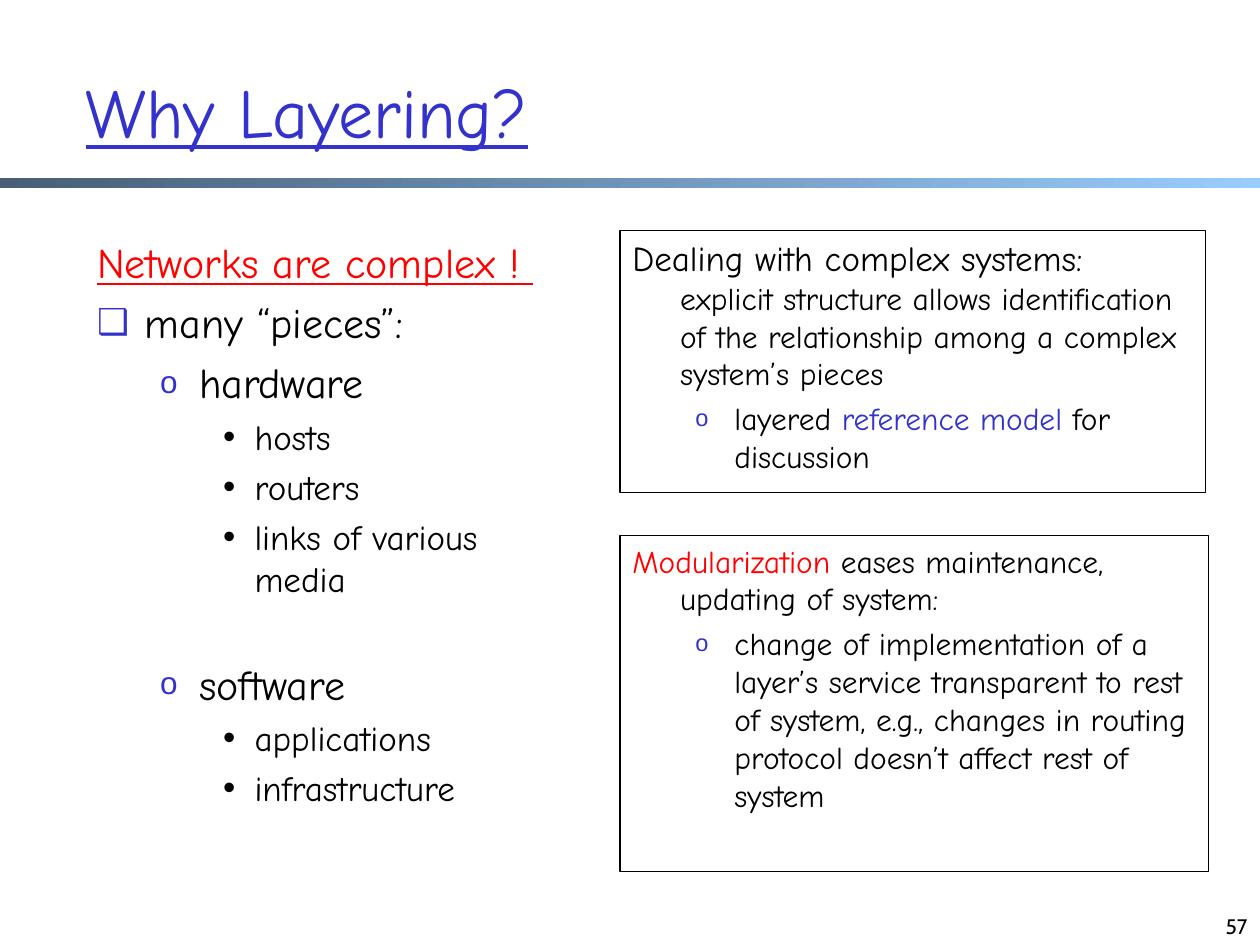
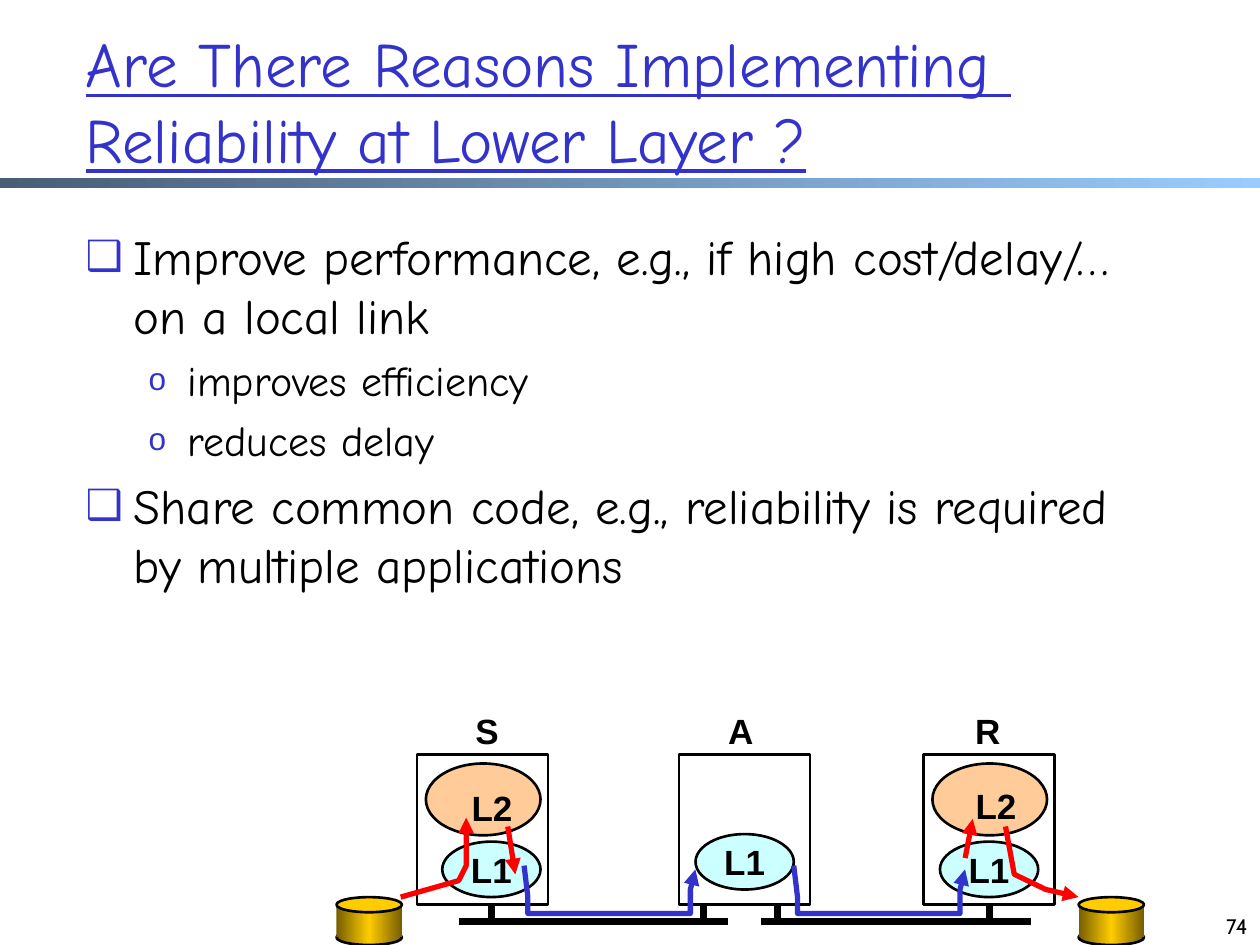
from collections import namedtuple
from copy import deepcopy

from lxml.etree import SubElement
from pptx import Presentation
from pptx.dml.color import RGBColor
from pptx.enum.shapes import MSO_CONNECTOR as CONN, MSO_SHAPE as SHAPE
from pptx.enum.text import MSO_ANCHOR as ANCHOR, MSO_AUTO_SIZE as AUTO, PP_ALIGN as ALIGN
from pptx.oxml.ns import qn
from pptx.util import Inches, Pt

BLACK = RGBColor(0x00, 0x00, 0x00)
BLUE = RGBColor(0x33, 0x33, 0xCC)
RED = RGBColor(0xFF, 0x00, 0x00)
BAND_DARK = RGBColor(0x47, 0x5E, 0x76)
BAND_LIGHT = RGBColor(0x99, 0xCC, 0xFF)
GOLD = RGBColor(0xFF, 0xCC, 0x00)
GOLD_DARK = RGBColor(0x76, 0x5E, 0x00)
PEACH = RGBColor(0xFF, 0xCC, 0x99)
AQUA = RGBColor(0xCC, 0xFF, 0xFF)

TEXT_FONT, NUMBER_FONT, DIAGRAM_FONT = "Comic Neue", "Cabin", "Arial"

ListStyle = namedtuple("ListStyle", "level margin hanging bullet color percent")
PLAIN = ListStyle(0, 0.38, 0.38, None, None, None)
BOX = ListStyle(0, 0.38, 0.38, "❑", BLUE, 85)
CIRCLE = ListStyle(1, 0.81, 0.31, "o", BLUE, 75)
DOT = ListStyle(2, 1.25, 0.25, "•", BLACK, 100)


def inches(values):
    return [Inches(v) for v in values]


def set_font(font, name, size, color=BLACK, bold=False, underline=False):
    font.name, font.size, font.bold, font.underline = name, Pt(size), bold, underline
    font.color.rgb = color


def set_bullet(p, style):
    p.level = style.level
    pPr = p._p.get_or_add_pPr()
    pPr.set("marL", str(Inches(style.margin)))
    pPr.set("indent", str(-Inches(style.hanging)))
    if not style.bullet:
        SubElement(pPr, qn("a:buNone"))
        return
    color = SubElement(pPr, qn("a:buClr"))
    SubElement(color, qn("a:srgbClr"), val=str(style.color))
    SubElement(pPr, qn("a:buSzPct"), val=str(style.percent * 1000))
    SubElement(pPr, qn("a:buFont"), typeface="Arial")
    SubElement(pPr, qn("a:buChar"), char=style.bullet)


def fill_gradient(sp, *colors):
    """Fill from left to right with evenly spaced colours."""
    sp.fill.gradient()
    sp.fill.gradient_angle = 0
    stops = sp._element.spPr.find(".//" + qn("a:gsLst"))
    while len(stops) < len(colors):
        stops.append(deepcopy(stops[0]))
    for i, (stop, color) in enumerate(zip(sp.fill.gradient_stops, colors)):
        stop.color.rgb = color
        stop.position = i / (len(colors) - 1)


class Deck:
    def __init__(self):
        self.prs = Presentation()
        self.prs.slide_width, self.prs.slide_height = Inches(10), Inches(7.5)

    def new_slide(self, title, size, top, number):
        self.s = self.prs.slides.add_slide(self.prs.slide_layouts[1])
        band = self.shape(SHAPE.RECTANGLE, (0, 1.41, 10, 0.08))
        fill_gradient(band, BAND_DARK, BAND_LIGHT)

        sp = self.s.shapes.title
        self.place(sp, (0.58, top, 8.5, 1.25))
        tf = sp.text_frame
        tf.text = title
        tf.auto_size, tf.vertical_anchor = AUTO.NONE, ANCHOR.MIDDLE
        p = tf.paragraphs[0]
        p.alignment = ALIGN.LEFT
        for r in p.runs:
            set_font(r.font, TEXT_FONT, size, BLUE, underline=True)
        for br in p._p.iter(qn("a:br")):
            SubElement(br, qn("a:rPr"), sz=str(size * 100))

        sp = self.label(number, (7.67, 7, 2.33, 0.5), NUMBER_FONT, 12, bold=False)
        sp.text_frame.vertical_anchor = ANCHOR.BOTTOM
        sp.text_frame.paragraphs[0].alignment = ALIGN.RIGHT

    def place(self, sp, at):
        sp.left, sp.top, sp.width, sp.height = inches(at)

    def body(self, at, items):
        sp = self.s.placeholders[1]
        self.place(sp, at)
        self.fill_text(sp.text_frame, items)

    def text_box(self, at, items):
        sp = self.shape(SHAPE.RECTANGLE, at, line=0.75)
        self.fill_text(sp.text_frame, items)

    def fill_text(self, tf, items):
        """Each item is (list style, size, runs[, extra space before]); a run
        is text or (text, changes to its font)."""
        tf.word_wrap, tf.auto_size, tf.vertical_anchor = True, AUTO.NONE, ANCHOR.TOP
        for i, (style, size, runs, *extra) in enumerate(items):
            p = tf.add_paragraph() if i else tf.paragraphs[0]
            p.alignment = ALIGN.LEFT
            p.space_before = Pt(round(0.23 * size, 1) + sum(extra))
            set_bullet(p, style)
            for run in runs:
                text, changes = run if isinstance(run, tuple) else (run, {})
                r = p.add_run()
                r.text = text.rstrip("\v")
                set_font(r.font, **{"name": TEXT_FONT, "size": size, **changes})
                if text.endswith("\v"):
                    p.add_line_break()

    def label(self, text, at, name=DIAGRAM_FONT, size=20, bold=True):
        sp = self.s.shapes.add_textbox(*inches(at))
        sp.text_frame.text = text
        sp.text_frame.word_wrap = False
        p = sp.text_frame.paragraphs[0]
        p.alignment = ALIGN.CENTER
        set_font(p.runs[0].font, name, size, bold=bold)
        return sp

    def shape(self, kind, at, fill=None, line=None):
        sp = self.s.shapes.add_shape(kind, *inches(at))
        sp.shadow.inherit = False
        if fill:
            sp.fill.solid()
            sp.fill.fore_color.rgb = fill
        else:
            sp.fill.background()
        if line:
            sp.line.color.rgb, sp.line.width = BLACK, Pt(line)
        else:
            sp.line.fill.background()
        return sp

    def oval(self, at, fill, text=None):
        sp = self.shape(SHAPE.OVAL, at, fill, 1.5)
        if text:
            tf = sp.text_frame
            tf.text = text
            tf.word_wrap, tf.vertical_anchor = False, ANCHOR.MIDDLE
            tf.paragraphs[0].alignment = ALIGN.CENTER
            set_font(tf.paragraphs[0].runs[0].font, DIAGRAM_FONT, 20, bold=True)
        return sp

    def cylinder(self, left, top):
        base = self.oval((left, top + 0.26, 0.52, 0.12), GOLD)
        side = self.shape(SHAPE.RECTANGLE, (left, top + 0.07, 0.52, 0.25))
        for sp in (base, side):
            fill_gradient(sp, GOLD_DARK, GOLD, GOLD_DARK)
        self.oval((left, top, 0.52, 0.12), GOLD)

    def line(self, start, end, color=BLACK, width=4):
        c = self.s.shapes.add_connector(CONN.STRAIGHT, *inches(start + end))
        c.line.color.rgb, c.line.width = color, Pt(width)
        SubElement(c._element.spPr, qn("a:effectLst"))
        return c

    def flow(self, points, color):
        """Draw a path with an arrowhead at its last point."""
        if len(points) == 2:
            sp = self.line(*points, color, 3)
        else:
            start, *rest = [inches(pt) for pt in points]
            fb = self.s.shapes.build_freeform(*start, scale=1.0)
            fb.add_line_segments(rest, close=False)
            sp = fb.convert_to_shape()
            sp.shadow.inherit = False
            sp.fill.background()
            sp.line.color.rgb, sp.line.width = color, Pt(3)
        SubElement(sp._element.spPr.find(qn("a:ln")), qn("a:tailEnd"), type="triangle")


def layering_slide(deck):
    deck.new_slide("Why Layering?", 40, 0.25, "57")
    deck.text_box((4.92, 1.83, 4.65, 2.08), [
        (PLAIN, 18, [
            ("Dealing with complex systems:\v", {"size": 20}),
            "explicit structure allows identification of the relationship "
            "among a complex system’s pieces"]),
        (CIRCLE, 18, ["layered ", ("reference model", {"color": BLUE}),
                      " for discussion"]),
    ])
    deck.body((0.67, 1.83, 3.92, 5.08), [
        (PLAIN, 24, [("Networks are complex ! ", {"color": RED, "underline": True})]),
        (BOX, 24, ["many “pieces”:"]),
        (CIRCLE, 24, ["hardware"]),
        (DOT, 20, ["hosts"]),
        (DOT, 20, ["routers"]),
        (DOT, 20, ["links of various media"]),
        (CIRCLE, 24, ["software"], 28),
        (DOT, 20, ["applications"]),
        (DOT, 20, ["infrastructure"]),
    ])
    deck.text_box((4.92, 4.25, 4.67, 2.67), [
        (PLAIN, 18, [("Modularization", {"color": RED}),
                     " eases maintenance, updating of system:"]),
        (CIRCLE, 18, [
            "change of implementation of a layer’s service transparent to rest "
            "of system, e.g., changes in routing protocol doesn’t affect rest of system"]),
    ])


def reliability_slide(deck):
    deck.new_slide("Are There Reasons Implementing \vReliability at Lower Layer ?",
                   36, 0.17, "74")
    deck.body((0.58, 1.75, 8.75, 5.17), [
        (BOX, 28, ["Improve performance, e.g., if high cost/delay/… on a local link"]),
        (CIRCLE, 24, ["improves efficiency"]),
        (CIRCLE, 24, ["reduces delay"]),
        (BOX, 28, ["Share common code, e.g., reliability is required "
                   "by multiple applications"]),
    ])

    for left in (2.67, 8.56):
        deck.cylinder(left, 7.12)

    # name, name left, node left, L1 place, L2 text place
    nodes = [("S", 3.67, 3.31, (3.51, 6.68), (3.64, 6.19)),
             ("A", 5.68, 5.39, (5.52, 6.62), None),
             ("R", 7.64, 7.33, (7.46, 6.68), (7.64, 6.18))]
    frames = {}
    for name, name_left, left, l1, l2 in nodes:
        if l2:
            deck.oval((left + 0.07, 6.06, 0.91, 0.57), PEACH)
            deck.label("L2", (*l2, 0.53, 0.43))
        frames[name] = deck.shape(SHAPE.RECTANGLE, (left, 5.99, 1.04, 1.19), line=1.5)
        deck.oval((*l1, 0.78, 0.44), AQUA, "L1")
        deck.label(name, (name_left, 5.58, 0.39, 0.43))

    for bus_left, stubs in ((3.64, (3.9, 5.58)), (6.04, (6.17, 7.85))):
        deck.line((bus_left, 7.31), (bus_left + 2.14, 7.31))
        for x in stubs:
            stub = deck.line((x, 7.19), (x, 7.31))
    stub.begin_connect(frames["R"], 2)

    for points in ([(3.18, 7.12), (3.64, 6.99), (3.7, 6.87), (3.7, 6.49)],
                   [(4.03, 6.56), (4.09, 6.94)],
                   [(7.66, 6.81), (7.72, 6.5)],
                   [(7.98, 6.56), (8.05, 6.94), (8.3, 7.06), (8.56, 7.12)]):
        deck.flow(points, RED)

    hop = [(4.16, 6.87), (4.19, 7.12), (4.19, 7.25), (5.48, 7.25), (5.48, 7.06), (5.52, 6.9)]
    for shift in (0, 2.14):
        deck.flow([(x + shift, y) for x, y in hop], BLUE)


def main():
    deck = Deck()
    layering_slide(deck)
    reliability_slide(deck)
    deck.prs.save("out.pptx")


if __name__ == "__main__":
    main()
